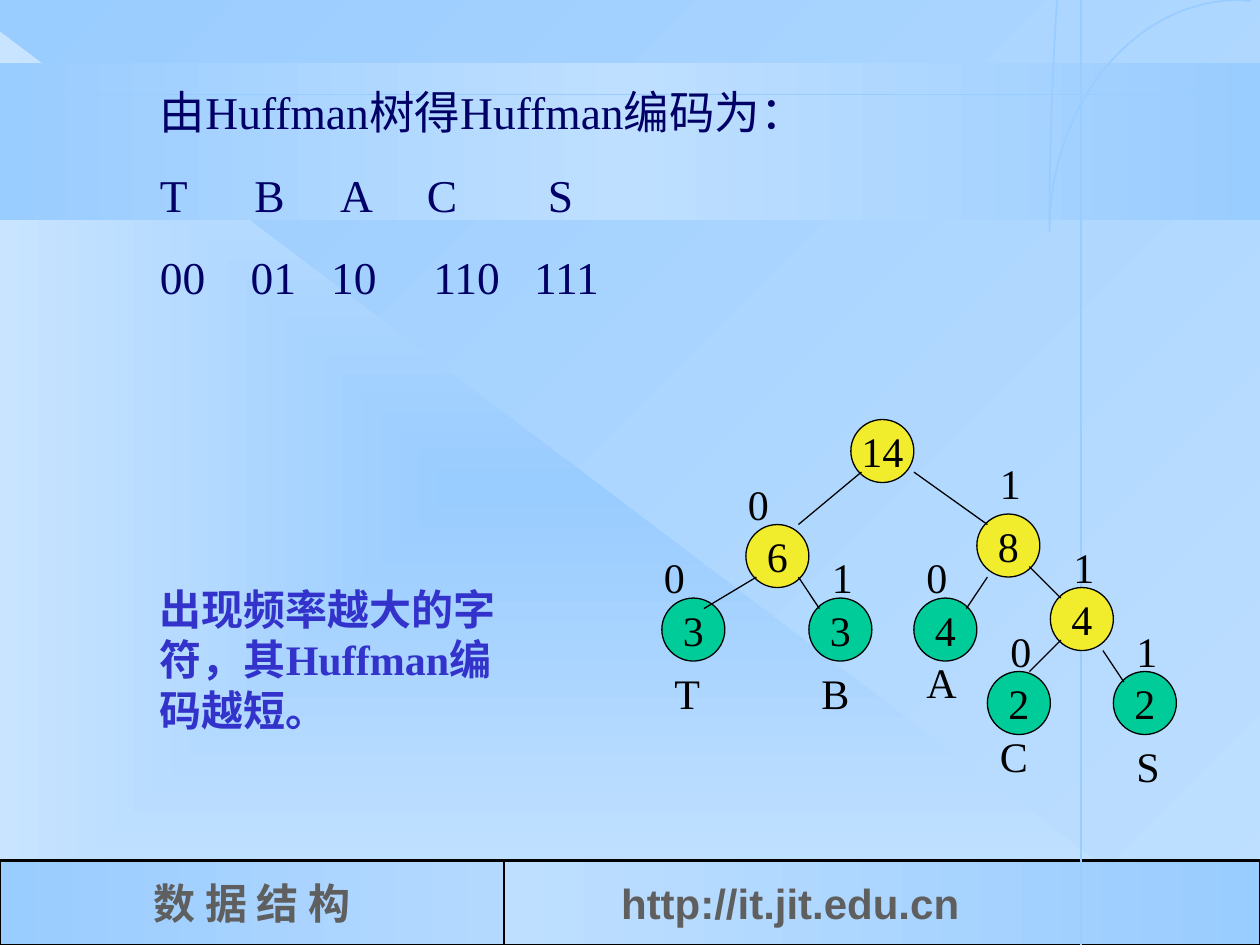
from math import cos, pi, sin

from pptx import Presentation
from pptx.dml.color import RGBColor
from pptx.enum.shapes import MSO_CONNECTOR as Link, MSO_SHAPE as Kind
from pptx.enum.text import MSO_ANCHOR as Anchor, PP_ALIGN as Align
from pptx.oxml import parse_xml
from pptx.oxml.ns import nsdecls
from pptx.util import Inches, Pt

SKY, PALE = "99CCFF", "BEDFFF"
YELLOW, GREEN, BLACK, GREY = "F2ED2C", "00CC99", "000000", "5F5F5F"
SERIF = "Times New Roman"


def tint(code):
    """Turn a hex string into a colour."""
    return RGBColor.from_string(code)


def blend(fill, root, codes, angle=0, center=False):
    """Give a fill evenly spaced gradient stops."""
    fill.gradient()
    grad = root.xpath(".//a:gradFill")[0]
    for part in list(grad):
        grad.remove(part)
    step = 100000 // (len(codes) - 1)
    stops = "".join(
        f'<a:gs pos="{i * step}"><a:srgbClr val="{code}"/></a:gs>'
        for i, code in enumerate(codes))
    grad.append(parse_xml(f'<a:gsLst {nsdecls("a")}>{stops}</a:gsLst>'))
    if center:
        way = (f'<a:path {nsdecls("a")} path="rect"><a:fillToRect l="50000" '
               't="50000" r="50000" b="50000"/></a:path>')
    else:
        way = f'<a:lin {nsdecls("a")} ang="{angle * 60000}" scaled="0"/>'
    grad.append(parse_xml(way))


def write(shape, text, size=24, font=SERIF, color=BLACK, bold=False,
          align=Align.LEFT, anchor=Anchor.TOP, wrap=True, inset=0.1,
          line=None, before=0, tabs=()):
    """Write one paragraph per line of text, with one tab list per line."""
    frame = shape.text_frame
    frame.word_wrap = wrap
    frame.vertical_anchor = anchor
    frame.margin_left = Inches(inset)
    for i, row in enumerate(text.split("\n")):
        para = frame.add_paragraph() if i else frame.paragraphs[0]
        para.alignment = align
        if line:
            para.line_spacing = line
        if i and before:
            para.space_before = Pt(before)
        if i < len(tabs) and tabs[i]:
            marks = "".join(f'<a:tab pos="{Inches(x)}" algn="l"/>'
                            for x in tabs[i])
            para._p.get_or_add_pPr().append(
                parse_xml(f'<a:tabLst {nsdecls("a")}>{marks}</a:tabLst>'))
        run = para.add_run()
        run.text = row
        run.font.size, run.font.name, run.font.bold = Pt(size), font, bold
        run.font.color.rgb = tint(color)


def label(shapes, box, text, **form):
    """Add a text box."""
    shape = shapes.add_textbox(*map(Inches, box))
    write(shape, text, **form)
    return shape


def block(shapes, kind, box, color, edge=None, width=0.75, **flow):
    """Add a preset shape with a plain colour or a list of gradient colours."""
    shape = shapes.add_shape(kind, *map(Inches, box))
    shape.shadow.inherit = False
    if isinstance(color, str):
        shape.fill.solid()
        shape.fill.fore_color.rgb = tint(color)
    else:
        blend(shape.fill, shape._element, color, **flow)
    if edge:
        shape.line.color.rgb = tint(edge)
        shape.line.width = Pt(width)
    else:
        shape.line.fill.background()
    return shape


def rule(shapes, ends, color=BLACK, width=0.75):
    """Add a straight line."""
    line = shapes.add_connector(Link.STRAIGHT, *map(Inches, ends))
    line.line.color.rgb = tint(color)
    line.line.width = Pt(width)
    line._element.spPr.append(parse_xml(f'<a:effectLst {nsdecls("a")}/>'))


def arc(shapes, left, top, wide, high):
    """Draw the two thin curves that meet at the lower left of the box."""
    count = 40
    side = [(0.06 * (1 - i / count) ** 2, high * i / count)
            for i in range(count)]
    bow = [(wide * (1 - cos(t)), high * (1 - sin(t)))
           for t in (pi / 2 * i / count for i in range(count + 1))]
    dots = [(Inches(left + x), Inches(top + y))
            for x, y in side + bow + [(wide + 0.09, 0.01)]]
    pen = shapes.build_freeform(*dots[0])
    pen.add_line_segments(dots[1:], close=False)
    curve = pen.convert_to_shape()
    curve.shadow.inherit = False
    curve.fill.background()
    curve.line.color.rgb = tint(SKY)
    curve.line.width = Pt(1)


def footer(shapes, left, top, wide, high):
    """Draw the two footer cells."""
    split = 0.4 * wide
    form = dict(color=GREY, bold=True, anchor=Anchor.MIDDLE, wrap=False)
    name = block(shapes, Kind.RECTANGLE, (left, top, split, high),
                 (SKY, "B4D9FF"), BLACK, 1.5)
    write(name, "数 据 结 构", align=Align.CENTER, **form)
    site = block(shapes, Kind.RECTANGLE,
                 (left + split, top, wide - split, high),
                 (PALE, SKY), BLACK, 1.5)
    write(site, "http://it.jit.edu.cn", font="Arial", inset=0.93, **form)


def backdrop(slide, wide, high):
    """Draw the background, band, footer and guide lines."""
    shapes = slide.shapes
    blend(slide.background.fill, slide._element, (SKY, PALE), angle=45)
    block(shapes, Kind.RIGHT_TRIANGLE, (0, 0.25, 9.58, high - 0.25),
          (SKY, "C8E4FF"), center=True)
    block(shapes, Kind.RECTANGLE, (0, 0.5, wide, 1.25), (SKY, PALE, SKY))
    footer(shapes, 0, 6.83, wide, 0.67)
    rule(shapes, (0, 0.75, wide, 0.75), SKY, 1)
    rule(shapes, (8.58, 0, 8.58, high), SKY, 1.5)
    arc(shapes, 8.33, 0, 1.51, 1.84)


def tree(shapes, left, top):
    """Draw the Huffman tree on a grid of twelfths of an inch."""
    parts = shapes.add_group_shape().shapes

    def spot(x, y):
        return left + x / 12, top + y / 12

    nodes = [("14", 19, 0, YELLOW), ("8", 31, 9, YELLOW),
             ("4", 38, 16, YELLOW), ("6", 9, 10, YELLOW),
             ("4", 25, 17, GREEN), ("2", 32, 24, GREEN),
             ("2", 44, 24, GREEN), ("3", 1, 17, GREEN), ("3", 15, 17, GREEN)]
    edges = [(25, 5, 32, 10), (32, 15, 30, 18), (39, 21, 36, 24),
             (43, 22, 45, 25), (36, 14, 39, 17), (20, 5, 14, 10),
             (10, 15, 5, 18), (14, 15, 16, 18)]
    marks = [("0", 8, 5), ("0", 25, 12), ("0", 33, 19), ("0", 0, 12),
             ("1", 32, 3), ("1", 39, 11), ("1", 45, 19), ("1", 16, 12),
             ("T", 1, 23), ("B", 15, 23), ("A", 25, 22), ("C", 32, 29),
             ("S", 45, 30)]
    for text, x, y, color in nodes:
        node = block(parts, Kind.OVAL, (*spot(x, y), 0.5, 0.5), color, BLACK)
        write(node, text, align=Align.CENTER, anchor=Anchor.MIDDLE,
              wrap=False)
    for x1, y1, x2, y2 in edges:
        rule(parts, (*spot(x1, y1), *spot(x2, y2)))
    for text, x, y in marks:
        label(parts, (*spot(x, y), 0.58, 0.5), text)


def main():
    """Build the slide and save it."""
    deck = Presentation()
    deck.slide_width, deck.slide_height = Inches(10), Inches(7.5)
    slide = deck.slides.add_slide(deck.slide_layouts[6])
    backdrop(slide, 10, 7.5)
    label(slide.shapes, (1.17, 0.49, 8.25, 1.97),
          "由Huffman树得Huffman编码为：\nT\tB\tA\tC\tS\n00\t01\t10\t110\t111",
          size=26, color="000066", line=1.3, before=6.5,
          tabs=[(), (0.75, 1.43, 2.12, 3.08), (0.72, 1.36, 2.17, 2.97)])
    tree(slide.shapes, 5.17, 3.33)
    label(slide.shapes, (1.17, 4.58, 2.92, 1.3),
          "出现频率越大的字符，其Huffman编码越短。", color="3333CC", bold=True)
    deck.save("out.pptx")


if __name__ == "__main__":
    main()
